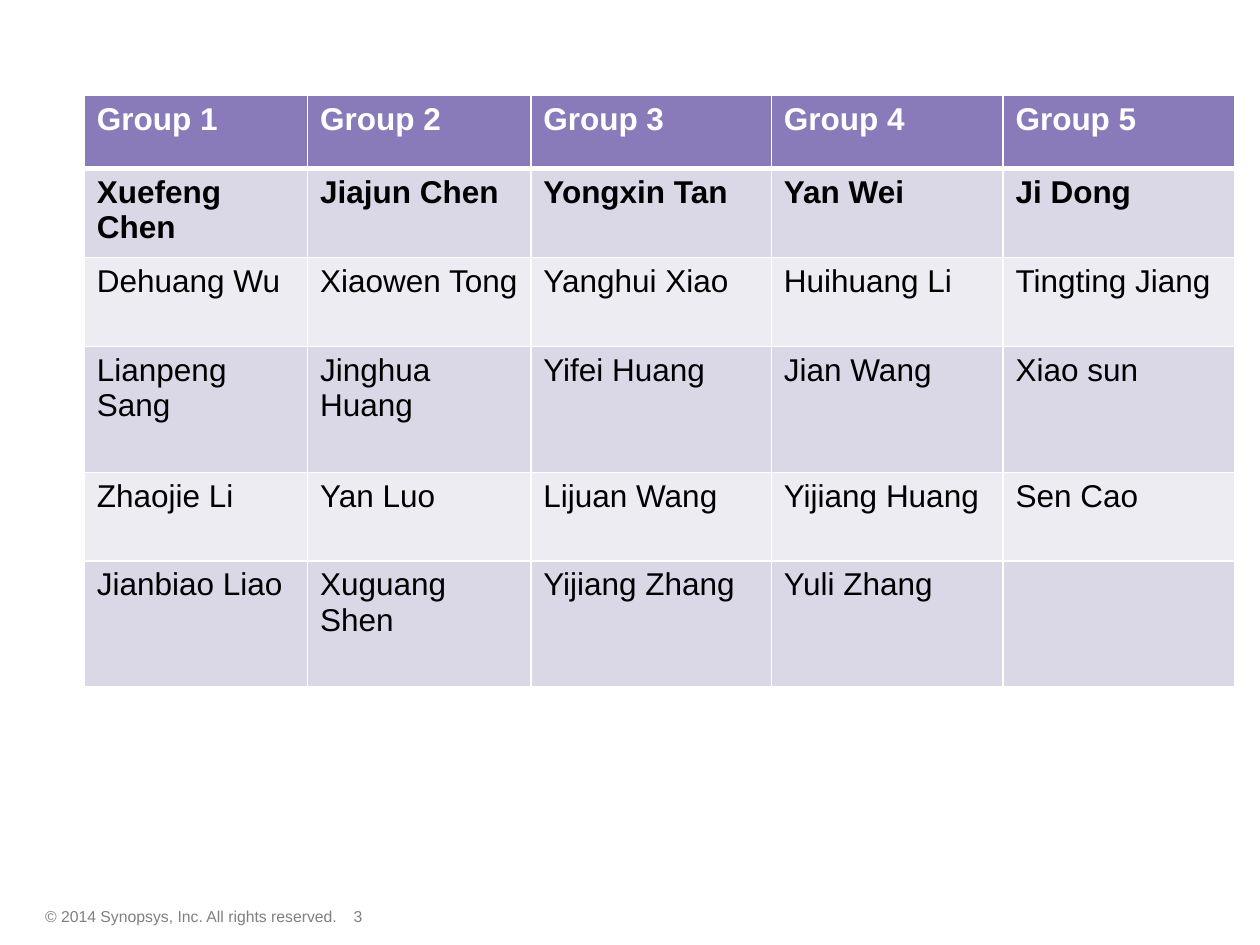
from dataclasses import dataclass

from lxml.etree import SubElement
from pptx import Presentation
from pptx.dml.color import RGBColor
from pptx.oxml.ns import qn
from pptx.util import Cm, Pt


@dataclass(frozen=True)
class Theme:
    font: str = "Arial"
    header: str = "897ABA"
    bands: tuple = ("DAD7E7", "EDECF3")
    white: str = "FFFFFF"
    black: str = "000000"
    gray: str = "808080"
    body_size: int = 18
    footer_size: int = 9


theme = Theme()


def write(tf, text, *, size, color, bold=False):
    r = tf.paragraphs[0].add_run()
    r.text = text
    r.font.name = theme.font
    r.font.size = Pt(size)
    r.font.bold = bold
    r.font.color.rgb = RGBColor.from_string(color)


def add_border(cell, side, width):
    ln = SubElement(cell._tc.get_or_add_tcPr(), qn(f"a:ln{side}"), w=str(Pt(width)))
    fill = SubElement(ln, qn("a:solidFill"))
    SubElement(fill, qn("a:srgbClr"), val=theme.white)


prs = Presentation()
prs.slide_width, prs.slide_height = Cm(25.4), Cm(19.05)
s = prs.slides.add_slide(prs.slide_layouts[6])

footers = [
    ("© 2014 Synopsys, Inc. All rights reserved.", 0.66, 7.82),
    ("3", 6.88, 1.78),
]
for text, left, width in footers:
    sp = s.shapes.add_textbox(Cm(left), Cm(18.16), Cm(width), Cm(0.64))
    sp.text_frame.word_wrap = True
    write(sp.text_frame, text, size=theme.footer_size, color=theme.gray)

rows = [
    ["Group 1", "Group 2", "Group 3", "Group 4", "Group 5"],
    ["Xuefeng Chen", "Jiajun Chen", "Yongxin Tan", "Yan Wei", "Ji Dong"],
    ["Dehuang Wu", "Xiaowen Tong", "Yanghui Xiao", "Huihuang Li", "Tingting Jiang"],
    ["Lianpeng Sang", "Jinghua Huang", "Yifei Huang", "Jian Wang", "Xiao sun"],
    ["Zhaojie Li", "Yan Luo", "Lijuan Wang", "Yijiang Huang", "Sen Cao"],
    ["Jianbiao Liao", "Xuguang Shen", "Yijiang Zhang", "Yuli Zhang", ""],
]
col_widths = [4.5, 4.5, 4.85, 4.67, 4.67]
row_heights = [1.47, 1.79, 1.79, 2.54, 1.79, 2.54]

table = s.shapes.add_table(
    len(rows), len(col_widths), Cm(1.7), Cm(1.93),
    Cm(sum(col_widths)), Cm(sum(row_heights)),
).table
for column, width in zip(table.columns, col_widths):
    column.width = Cm(width)

for i, names in enumerate(rows):
    table.rows[i].height = Cm(row_heights[i])
    for j, name in enumerate(names):
        cell = table.cell(i, j)
        for side in "LRTB":
            thick = (i, side) in ((0, "B"), (1, "T"))
            add_border(cell, side, 3 if thick else 1)
        cell.fill.solid()
        fill = theme.header if i == 0 else theme.bands[(i - 1) % 2]
        cell.fill.fore_color.rgb = RGBColor.from_string(fill)
        if name:
            write(cell.text_frame, name, size=theme.body_size, bold=i < 2,
                  color=theme.white if i == 0 else theme.black)

prs.save("out.pptx")
